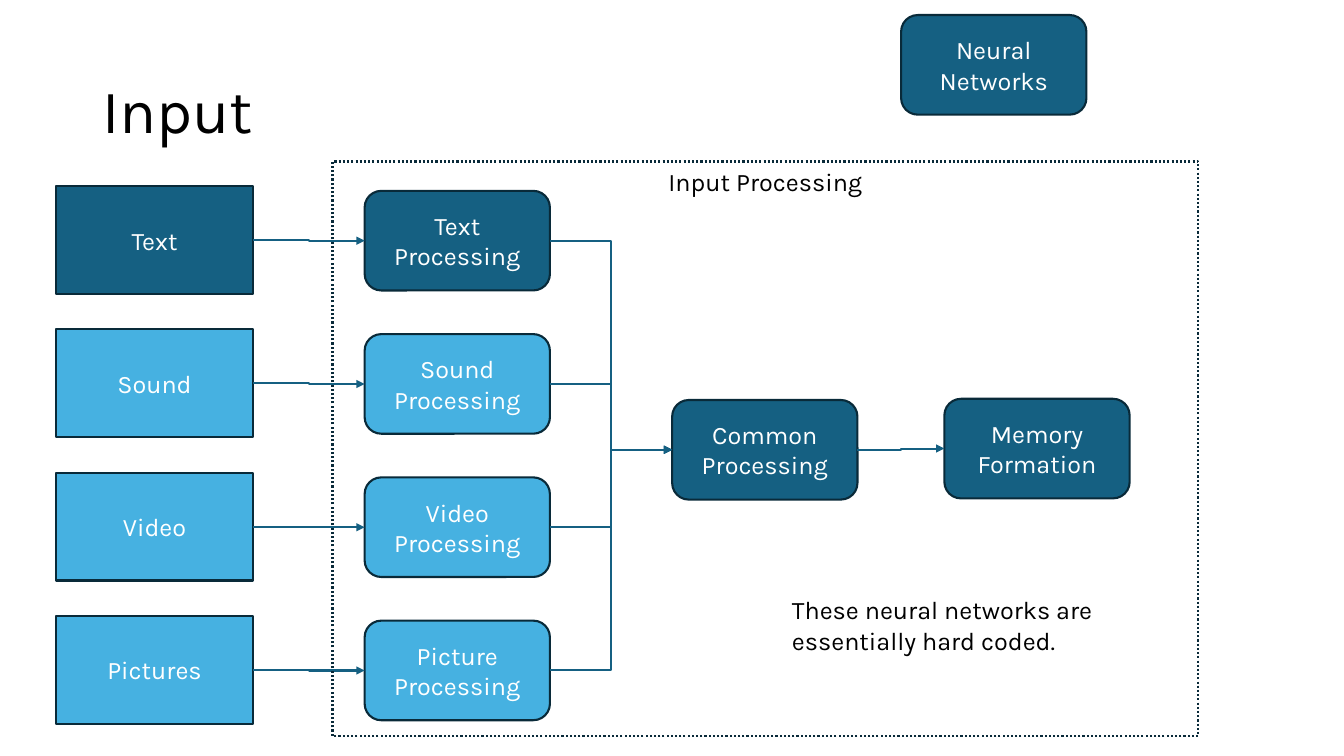
from lxml.etree import SubElement
from pptx import Presentation
from pptx.dml.color import RGBColor
from pptx.enum.dml import MSO_LINE
from pptx.enum.shapes import MSO_CONNECTOR, MSO_SHAPE
from pptx.enum.text import MSO_ANCHOR, PP_ALIGN
from pptx.oxml.ns import qn
from pptx.util import Cm, Pt

COLORS = {
    "dark": "156082",
    "light": "46B1E1",
    "edge": "092A39",
    "white": "FFFFFF",
    "black": "000000",
}
FONT = "Karla"
TOP, LEFT = 0, 1
RIGHT = 3
PITCH = 3.61
INPUTS = [
    ("Text", "Text Processing", "dark"),
    ("Sound", "Sound Processing", "light"),
    ("Video", "Video Processing", "light"),
    ("Pictures", "Picture Processing", "light"),
]


def color(name):
    """Return the named colour."""
    return RGBColor.from_string(COLORS[name])


def write(shape, words, ink, size=18, align=PP_ALIGN.LEFT, anchor=MSO_ANCHOR.TOP):
    """Put one run of text in a shape and return its paragraph."""
    frame = shape.text_frame
    frame.word_wrap = True
    frame.vertical_anchor = anchor
    para = frame.paragraphs[0]
    para.alignment = align
    run = para.add_run()
    run.text = words
    run.font.name = FONT
    run.font.size = Pt(size)
    run.font.color.rgb = color(ink)
    return para


def add_shape(slide, kind, left, top, width, height):
    """Add an outlined shape without a shadow."""
    shape = slide.shapes.add_shape(kind, Cm(left), Cm(top), Cm(width), Cm(height))
    shape.shadow.inherit = False
    shape.line.color.rgb = color("edge")
    shape.line.width = Pt(1.5)
    return shape


def add_box(slide, kind, words, fill, left, top, width, height):
    """Add a filled box with a centred white label."""
    box = add_shape(slide, kind, left, top, width, height)
    box.fill.solid()
    box.fill.fore_color.rgb = color(fill)
    write(box, words, "white", align=PP_ALIGN.CENTER, anchor=MSO_ANCHOR.MIDDLE)
    return box


def add_source(slide, words, fill, top):
    """Add a square box for one kind of input."""
    return add_box(slide, MSO_SHAPE.RECTANGLE, words, fill, 1.42, top, 4.95, 2.72)


def add_net(slide, words, fill, left, top):
    """Add a rounded box for one neural network."""
    return add_box(slide, MSO_SHAPE.ROUNDED_RECTANGLE, words, fill, left, top, 4.67, 2.51)


def add_arrow(slide, start, end):
    """Join the right side of one box to the left side of another."""
    arrow = slide.shapes.add_connector(MSO_CONNECTOR.ELBOW, 0, 0, 0, 0)
    arrow.begin_connect(start, RIGHT)
    arrow.end_connect(end, LEFT)
    arrow.line.color.rgb = color("dark")
    arrow.line.width = Pt(1.5)
    SubElement(arrow.line._get_or_add_ln(), qn("a:tailEnd"), type="triangle")
    SubElement(arrow._element.spPr, qn("a:effectLst"))


def add_text(slide, words, left, top, width, height, **style):
    """Add a wrapped block of black text."""
    box = slide.shapes.add_textbox(Cm(left), Cm(top), Cm(width), Cm(height))
    return write(box, words, "black", **style)


def add_frame(slide, words, left, top, width, height):
    """Add a dotted frame with its label at the top."""
    frame = add_shape(slide, MSO_SHAPE.RECTANGLE, left, top, width, height)
    frame.fill.background()
    frame.line.dash_style = MSO_LINE.ROUND_DOT
    write(frame, words, "black", align=PP_ALIGN.CENTER)


def main():
    """Build the slide and save it."""
    deck = Presentation()
    deck.slide_width, deck.slide_height = Cm(33.87), Cm(19.05)
    slide = deck.slides.add_slide(deck.slide_layouts[6])

    title = add_text(slide, "Input", 2.33, 1.01, 29.21, 3.68,
                     size=44, anchor=MSO_ANCHOR.MIDDLE)
    title.line_spacing = 0.9

    common = add_net(slide, "Common Processing", "dark", 16.94, 10.08)
    memory = add_net(slide, "Memory Formation", "dark", 23.8, 10.05)
    for row, (source, process, fill) in enumerate(INPUTS):
        start = add_source(slide, source, fill, 4.69 + row * PITCH)
        net = add_net(slide, process, fill, 9.19, 4.81 + row * PITCH)
        add_arrow(slide, start, net)
        add_arrow(slide, net, common)
    add_arrow(slide, common, memory)

    add_net(slide, "Neural Networks", "dark", 22.71, 0.38)
    add_text(slide, "These neural networks are essentially hard coded.",
             19.71, 14.86, 9.14, 1.8)
    add_frame(slide, "Input Processing", 8.38, 4.07, 21.82, 14.48)
    deck.save("out.pptx")


if __name__ == "__main__":
    main()
